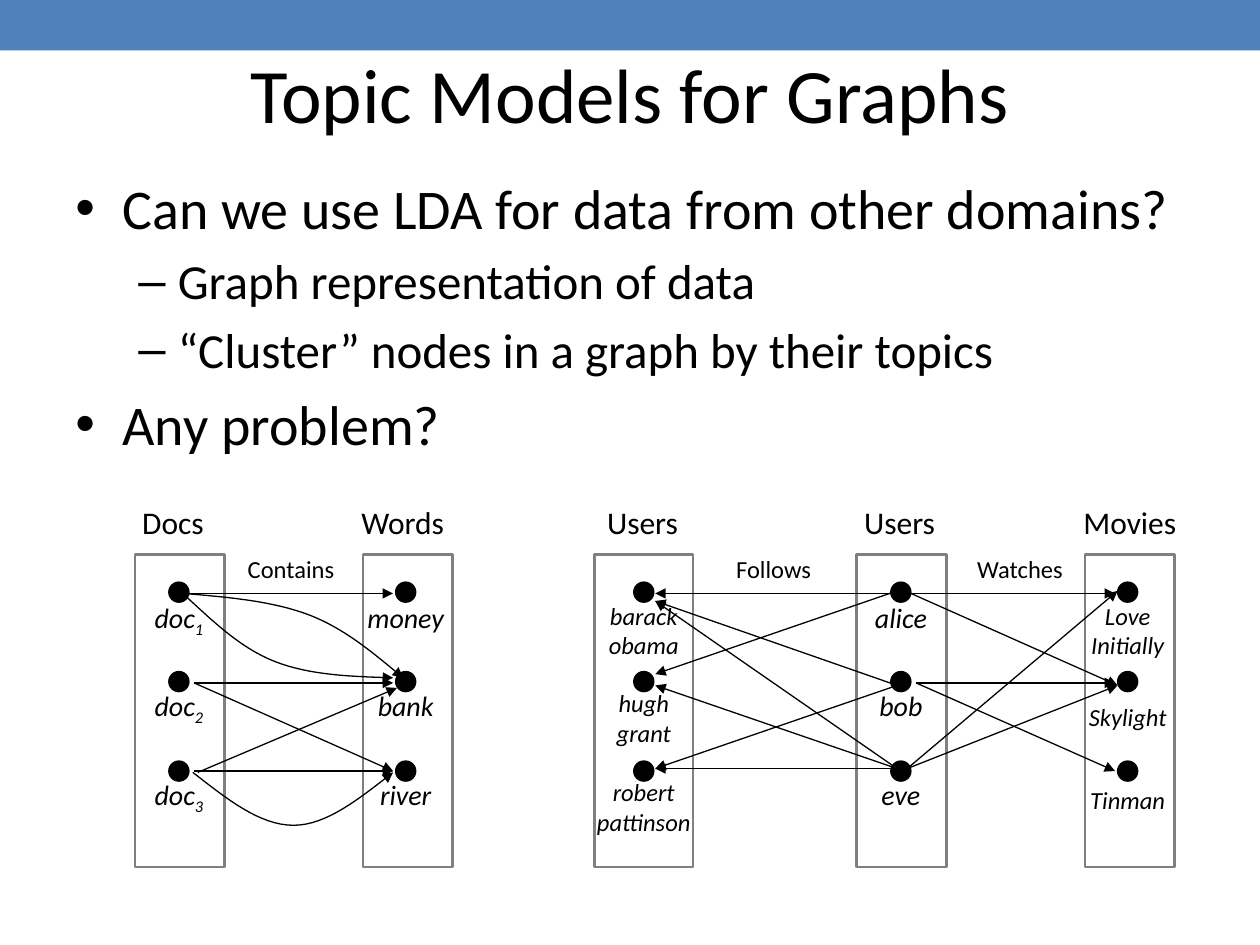
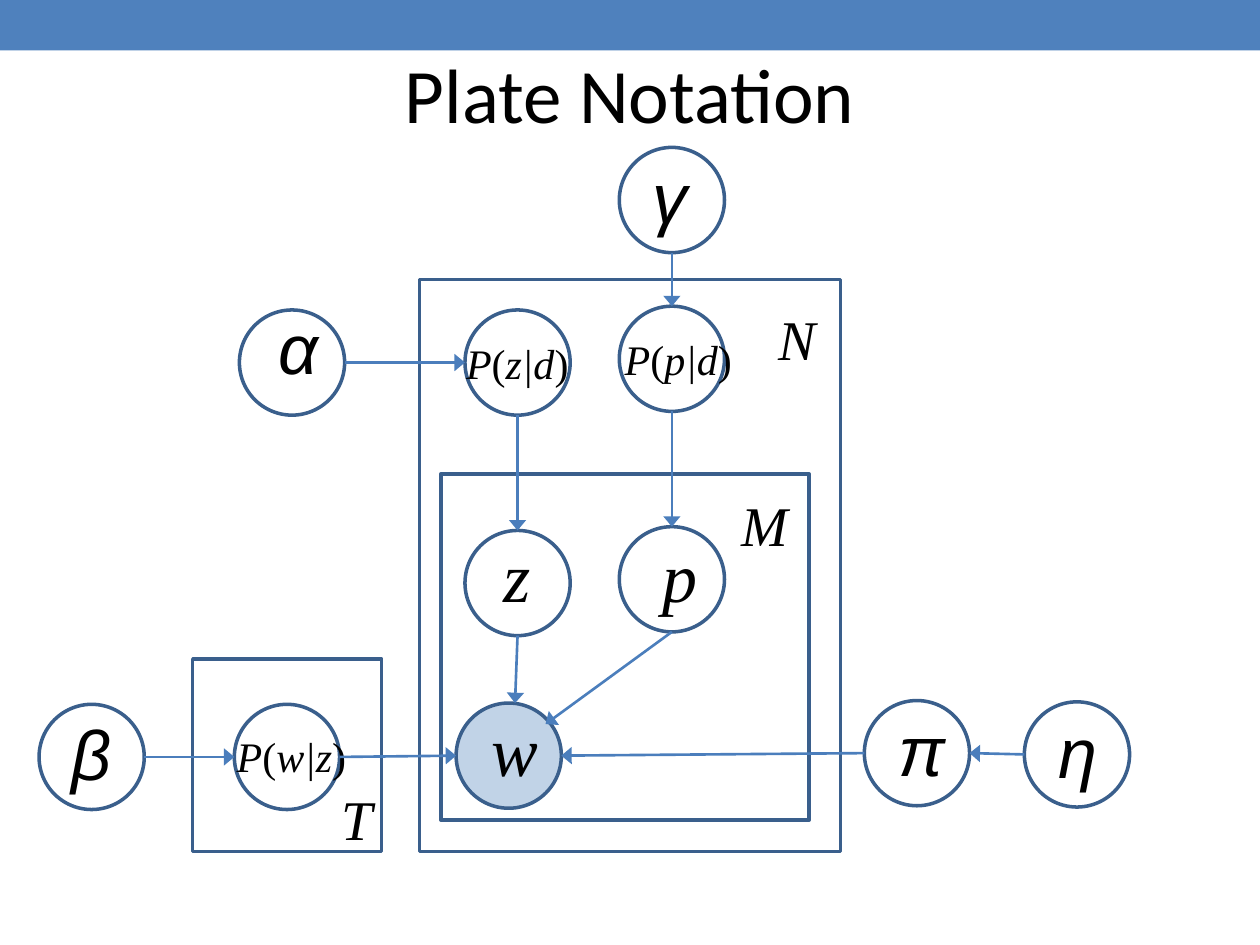
from itertools import groupby

from lxml import etree
from pptx import Presentation
from pptx.dml.color import RGBColor
from pptx.enum.shapes import MSO_CONNECTOR, MSO_SHAPE
from pptx.enum.text import MSO_ANCHOR, MSO_AUTO_SIZE, PP_ALIGN
from pptx.oxml.ns import qn
from pptx.util import Inches, Pt

RECT, OVAL = MSO_SHAPE.RECTANGLE, MSO_SHAPE.OVAL
STRAIGHT = MSO_CONNECTOR.STRAIGHT
LEFT, CENTER = PP_ALIGN.LEFT, PP_ALIGN.CENTER
MIDDLE = MSO_ANCHOR.MIDDLE
GROW = MSO_AUTO_SIZE.SHAPE_TO_FIT_TEXT

COLORS = {"band": "4F81BD", "ink": "000000", "frame": "808080",
          "plate": "3A5F8C", "arrow": "4B7EBC"}
SANS, SERIF, GREEK = "Calibri", "Times New Roman", "Arial"
COLUMNS, ROWS = 100, 75  # the grid that all positions are given in

# marker, left margin, hanging indent, size for each outline level
OUTLINE = [("•", 3.75, 3.75, 32), ("–", 8.13, 3.13, 28)]


def rgb(name):
    return RGBColor.from_string(COLORS[name])


def run_kind(char):
    """Brackets stand upright and digits are subscripts in italic labels."""
    if char in "()":
        return "upright"
    return "subscript" if char.isdigit() else "italic"


def bezier(start, c1, c2, end, steps=16):
    """Points along a cubic curve, without its start."""
    for step in range(1, steps + 1):
        t = step / steps
        weights = ((1 - t) ** 3, 3 * t * (1 - t) ** 2, 3 * t * t * (1 - t), t ** 3)
        yield tuple(sum(w * p[axis] for w, p in zip(weights, (start, c1, c2, end)))
                    for axis in (0, 1))


class Deck:
    def __init__(self):
        self.prs = Presentation()
        self.prs.slide_width, self.prs.slide_height = Inches(10), Inches(7.5)
        self.shapes = None

    def x(self, columns):
        return round(self.prs.slide_width * columns / COLUMNS)

    def y(self, rows):
        return round(self.prs.slide_height * rows / ROWS)

    def box(self, left, top, width, height):
        return self.x(left), self.y(top), self.x(width), self.y(height)

    def new_slide(self, title):
        self.shapes = self.prs.slides.add_slide(self.prs.slide_layouts[6]).shapes
        self.shape(RECT, 0, 0, COLUMNS, 4, fill="band")
        frame = self.shapes.add_textbox(*self.box(5, 3, 90, 8.7)).text_frame
        frame.word_wrap = True
        frame.vertical_anchor = MIDDLE
        frame.paragraphs[0].alignment = CENTER
        self.run(frame.paragraphs[0], title, 44)

    def outline(self, items, left, top, width, height):
        frame = self.shapes.add_textbox(*self.box(left, top, width, height)).text_frame
        frame.word_wrap = True
        for number, (level, text) in enumerate(items):
            paragraph = frame.add_paragraph() if number else frame.paragraphs[0]
            marker, margin, hanging, size = OUTLINE[level]
            paragraph.level = level
            if number:
                paragraph.space_before = Pt(size * 0.2)
            props = paragraph._p.get_or_add_pPr()
            props.set("marL", str(self.x(margin)))
            props.set("indent", str(-self.x(hanging)))
            etree.SubElement(props, qn("a:buFont")).set("typeface", GREEK)
            etree.SubElement(props, qn("a:buChar")).set("char", marker)
            self.run(paragraph, text, size)

    def run(self, paragraph, text, size, font=SANS, italic=False):
        run = paragraph.add_run()
        run.text = text
        run.font.size, run.font.name, run.font.italic = Pt(size), font, italic
        run.font.color.rgb = rgb("ink")
        return run

    def label(self, text, left, top, width, size, font=SANS, italic=False, align=CENTER):
        """A box as high as its lines; text lines are parted by a newline."""
        lines = text.split("\n")
        height = 1 + len(lines) * size / 6
        frame = self.shapes.add_textbox(*self.box(left, top, width, height)).text_frame
        frame.word_wrap = False
        frame.auto_size = GROW
        for number, line in enumerate(lines):
            paragraph = frame.add_paragraph() if number else frame.paragraphs[0]
            paragraph.alignment = align
            if not italic:
                self.run(paragraph, line, size, font)
                continue
            for kind, chars in groupby(line, run_kind):
                run = self.run(paragraph, "".join(chars), size, font, kind != "upright")
                if kind == "subscript":
                    run._r.get_or_add_rPr().set("baseline", "-25000")

    def shape(self, preset, left, top, width, height, fill=None, line=None,
              weight=0.75, opacity=None):
        shape = self.shapes.add_shape(preset, *self.box(left, top, width, height))
        self.paint(shape, fill, line, weight)
        if opacity:
            color = shape.fill._xPr.find(qn("a:solidFill"))[0]
            etree.SubElement(color, qn("a:alpha")).set("val", str(opacity * 1000))

    def paint(self, shape, fill, line, weight):
        shape.shadow.inherit = False
        if fill:
            shape.fill.solid()
            shape.fill.fore_color.rgb = rgb(fill)
        else:
            shape.fill.background()
        if line:
            shape.line.color.rgb = rgb(line)
            shape.line.width = Pt(weight)
        else:
            shape.line.fill.background()

    def arrow(self, start, end, line="ink", weight=0.75, head_width="med"):
        arrow = self.shapes.add_connector(STRAIGHT, self.x(start[0]), self.y(start[1]),
                                          self.x(end[0]), self.y(end[1]))
        arrow.line.color.rgb = rgb(line)
        arrow.line.width = Pt(weight)
        self.arrowhead(arrow, head_width)
        etree.SubElement(arrow._element.spPr, qn("a:effectLst"))

    def curved_arrow(self, start, *controls):
        """Each three points after the start make one cubic curve."""
        points = []
        knot = start
        for i in range(0, len(controls), 3):
            points += bezier(knot, *controls[i:i + 3])
            knot = controls[i + 2]
        builder = self.shapes.build_freeform(self.x(start[0]), self.y(start[1]))
        builder.add_line_segments([(self.x(px), self.y(py)) for px, py in points],
                                  close=False)
        curve = builder.convert_to_shape()
        self.paint(curve, None, "ink", 0.75)
        self.arrowhead(curve)

    def arrowhead(self, shape, width="med"):
        head = etree.SubElement(shape.get_or_add_ln(), qn("a:tailEnd"))
        head.set("type", "triangle")
        head.set("w", width)


# heading, its left and width; frame left and width; centre of nodes; label size;
# labels with their widths; rows of the labels
LABEL_ROWS = (47.2, 54.15, 61.2)
ENTITY_SETS = [
    ("Docs", 10.3, 6.9, 10.7, 7.1, 14.2, 16,
     [("doc1", 6), ("doc2", 6), ("doc3", 6)], LABEL_ROWS),
    ("Words", 27.7, 8.7, 28.8, 7.1, 32.2, 16,
     [("money", 8.2), ("bank", 6.5), ("river", 6.1)], LABEL_ROWS),
    ("Users", 47.2, 7.7, 47.2, 7.8, 51.1, 14,
     [("barack\nobama", 7.6), ("hugh\ngrant", 6.4), ("robert\npattinson", 9.6)],
     LABEL_ROWS),
    ("Users", 67.6, 7.7, 68, 7.1, 71.5, 16,
     [("alice", 6.2), ("bob", 5.5), ("eve", 5.1)], LABEL_ROWS),
    ("Movies", 85, 9.5, 86.1, 7.1, 89.5, 14,
     [("Love\nInitially", 9.5), ("Skylight", 9.5), ("Tinman", 9.5)],
     (47.2, 55.2, 61.8)),
]
RELATIONS = [("Contains", 18.6, 9), ("Follows", 57.4, 8), ("Watches", 76.5, 8.9)]
CONTAINS = [((14.9, 47.1), (31.2, 47.1)), ((15.4, 54.2), (31.2, 54.2)),
            ((15.4, 54.2), (31.2, 61.2)), ((15.4, 61.2), (31.2, 61.2)),
            ((15.7, 61.3), (31.5, 54.6))]
CONTAINS_AGAIN = [
    [(14.5, 47.1), (16.8, 49.2), (19, 51.4), (21.8, 52.5),
     (24.6, 53.6), (27.9, 53.7), (31.2, 53.8)],
    [(14.5, 47.1), (18.1, 47.4), (21.6, 47.7), (24.5, 48.8),
     (27.4, 49.9), (29.7, 51.9), (32, 53.8)],
    [(15.3, 61.3), (18, 63.4), (20.6, 65.5), (23.3, 65.5),
     (25.9, 65.5), (28.5, 63.4), (31.2, 61.3)],
]
FOLLOWS_FROM, FOLLOWS_TO = 71.2, 52
FOLLOWS = [(47.1, 47.1), (46.9, 53.5), (54.4, 47.7), (54.4, 61),
           (61, 47.7), (61, 54.4), (61, 61)]
WATCHES = [((72.2, 47.1), (88.5, 47.1)), ((72.3, 47.1), (88.7, 54.4)),
           ((72.7, 54.2), (88.5, 54.2)), ((72.7, 54.2), (88.5, 61.2)),
           ((72, 61), (88.7, 46.9)), ((72, 61), (88.7, 54.4))]


def topic_models(deck):
    deck.new_slide("Topic Models for Graphs")
    deck.outline([(0, "Can we use LDA for data from other domains?"),
                  (1, "Graph representation of data"),
                  (1, "“Cluster” nodes in a graph by their topics"),
                  (0, "Any problem?")], 5, 13.3, 90, 53.7)
    node = 1.6
    for (heading, head_left, head_width, frame_left, frame_width,
         center, size, labels, rows) in ENTITY_SETS:
        deck.shape(RECT, frame_left, 44, frame_width, 24.8, line="frame", weight=1.5)
        deck.label(heading, head_left, 39.4, head_width, 18, align=LEFT)
        for i, ((text, width), row) in enumerate(zip(labels, rows)):
            deck.shape(OVAL, center - node / 2, 46.2 + 7.1 * i, node, node, "ink", "ink")
            deck.label(text, center - width / 2, row, width, size, italic=True)
    for name, left, width in RELATIONS:
        deck.label(name, left, 43.5, width, 14)
    for start, end in CONTAINS + WATCHES:
        deck.arrow(start, end)
    for follower, followed in FOLLOWS:
        deck.arrow((FOLLOWS_FROM, follower), (FOLLOWS_TO, followed))
    for curve in CONTAINS_AGAIN:
        deck.curved_arrow(*curve)


# plate name, frame, then left, top and width of the name
PLATES = [("N", (33.3, 22.2, 33.4, 45.4), (60.8, 23.7, 5)),
          ("M", (35, 37.6, 29.2, 27.5), (57.9, 38.4, 5.8)),
          ("T", (15.3, 52.3, 15, 15.3), (26.1, 61.8, 4.5))]
# left and top of each circle, then left, top, width, size and font of its symbol
VARIABLES = {
    "α": (19, 24.6, 21.1, 23.7, 5.6, 40, GREEK),
    "β": (3.1, 55.9, 4.7, 55.9, 5.1, 40, GREEK),
    "γ": (49.15, 11.7, 50.8, 11.7, 4.3, 40, GREEK),
    "π": (68.6, 55.6, 70.3, 55.6, 5.1, 40, GREEK),
    "η": (81.3, 55.7, 83, 55.7, 5.4, 40, GREEK),
    "P(z|d)": (36.9, 24.6, 36, 26.3, 10.2, 24, SERIF),
    "P(p|d)": (49.15, 24.3, 48.6, 26, 10.6, 24, SERIF),
    "P(w|z)": (18.6, 55.9, 17.8, 57.5, 10.8, 24, SERIF),
    "z": (36.9, 42.1, 39, 41.8, 4.2, 40, SERIF),
    "p": (49.15, 41.8, 51.6, 41.8, 4.8, 40, SERIF),
    "w": (36.2, 55.8, 38, 55.6, 5.8, 40, SERIF),
}
CIRCLE = 8.35
SIDES = {"top": (0.5, 0), "left": (0, 0.5), "bottom": (0.5, 1), "right": (1, 0.5),
         "right of top": (0.56, 0), "upper right": (0.85, 0.2)}
DEPENDENCIES = [("α", "right", "P(z|d)", "left"), ("β", "right", "P(w|z)", "left"),
                ("P(w|z)", "right", "w", "left"), ("P(z|d)", "bottom", "z", "top"),
                ("z", "bottom", "w", "right of top"), ("γ", "bottom", "P(p|d)", "top"),
                ("P(p|d)", "bottom", "p", "top"), ("p", "bottom", "w", "upper right"),
                ("η", "left", "π", "right"), ("π", "left", "w", "right")]


def side_point(variable, side):
    left, top = VARIABLES[variable][:2]
    across, down = SIDES[side]
    return left + CIRCLE * across, top + CIRCLE * down


def plate_notation(deck):
    deck.new_slide("Plate Notation")
    for name, frame, place in PLATES:
        deck.shape(RECT, *frame, line="plate", weight=2)
        deck.label(name, *place, 32, SERIF, italic=True, align=LEFT)
    for symbol, (left, top, *text_style) in VARIABLES.items():
        observed = symbol == "w"
        deck.shape(OVAL, left, top, CIRCLE, CIRCLE, "band" if observed else None,
                   "plate", 2, 35 if observed else None)
        deck.label(symbol, *text_style, italic=True, align=LEFT)
    for source, out_side, target, in_side in DEPENDENCIES:
        deck.arrow(side_point(source, out_side), side_point(target, in_side),
                   "arrow", 1.5, "lg")


def main():
    deck = Deck()
    topic_models(deck)
    plate_notation(deck)
    deck.prs.save("out.pptx")


if __name__ == "__main__":
    main()
